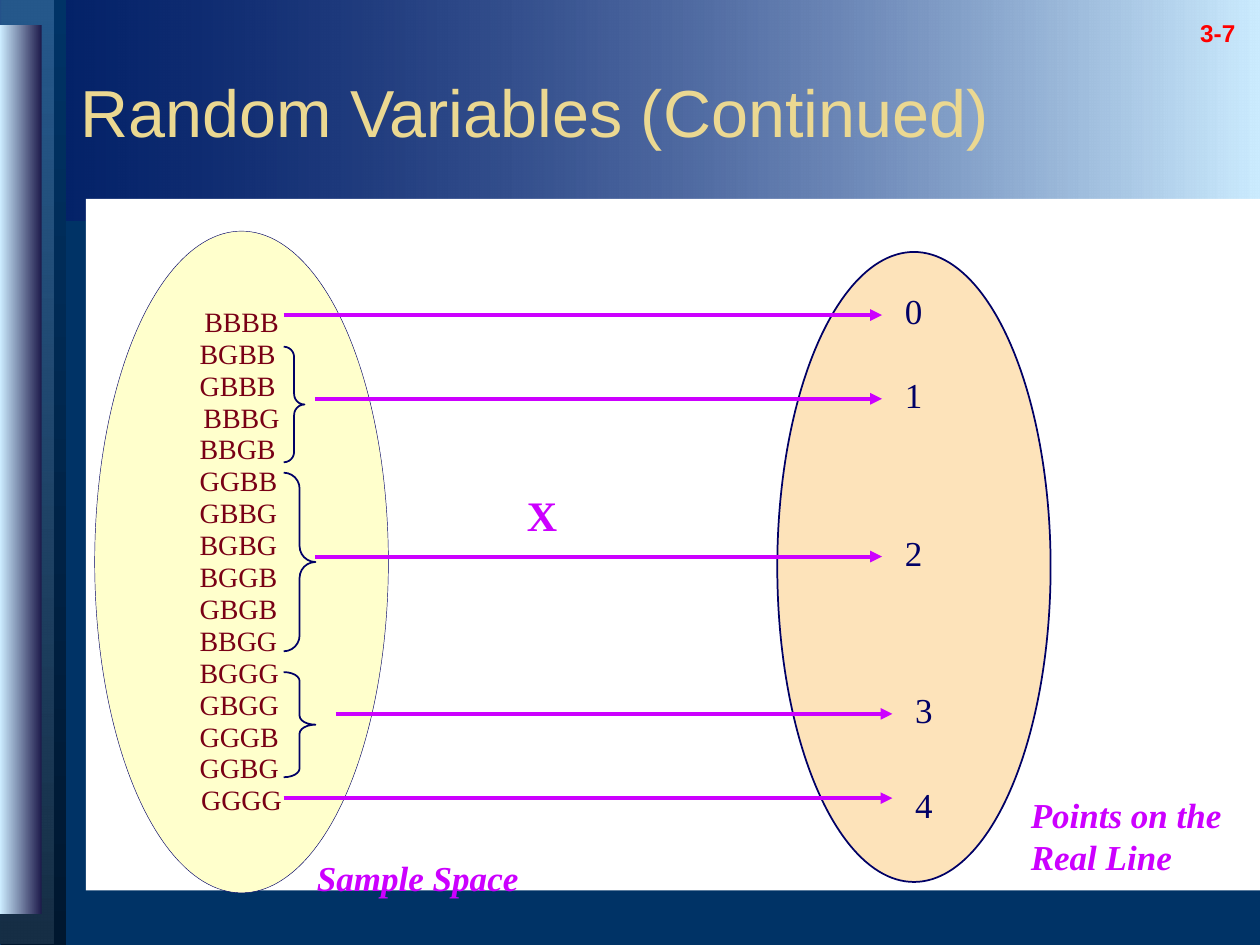
from lxml.etree import SubElement
from pptx import Presentation
from pptx.dml.color import RGBColor
from pptx.enum.shapes import MSO_CONNECTOR as Connector, MSO_SHAPE as Shape
from pptx.enum.text import MSO_ANCHOR as Anchor, PP_ALIGN as Align
from pptx.oxml.ns import qn
from pptx.util import Cm, Pt

SERIF = "Times New Roman"
NAVY = "000066"
VIOLET = "CC00FF"


def color(hex_value):
    return RGBColor.from_string(hex_value)


def label(text, left, top, width, height, size, hex_value, face=SERIF, bold=False, italic=False):
    box = slide.shapes.add_textbox(Cm(left), Cm(top), Cm(width), Cm(height))
    box.text_frame.word_wrap = True
    box.text_frame.text = text
    font = box.text_frame.paragraphs[0].runs[0].font
    font.name, font.size, font.bold, font.italic = face, Pt(size), bold, italic
    font.color.rgb = color(hex_value)
    return box.text_frame


prs = Presentation()
prs.slide_width, prs.slide_height = Cm(25.4), Cm(19.05)
slide = prs.slides.add_slide(prs.slide_layouts[6])
slide.background.fill.solid()
slide.background.fill.fore_color.rgb = color("003366")

bands = [
    (0, 0, 25.4, 4.45, 180, ("CCECFF", 100), (NAVY, 38)),
    (0.03, 0, 1.3, 19.05, 270, ("003366", 100), ("00172F", 100)),
    (-0.05, -0.03, 1.12, 19.05, 270, ("336699", 73), ("172F46", 100)),
    (0, 0.51, 0.84, 17.91, 180, ("1E1B4B", 100), ("CCECFF", 100)),
]
for left, top, width, height, angle, *stops in bands:
    band = slide.shapes.add_shape(Shape.RECTANGLE, Cm(left), Cm(top), Cm(width), Cm(height))
    band.shadow.inherit = False
    band.line.fill.background()
    band.fill.gradient()
    band.fill.gradient_angle = angle
    for stop, (hex_value, _) in zip(band.fill.gradient_stops, stops):
        stop.color.rgb = color(hex_value)
    for node, (_, opacity) in zip(band._element.spPr.iter(qn("a:srgbClr")), stops):
        if opacity < 100:
            SubElement(node, qn("a:alpha"), val=str(opacity * 1000))

panel = slide.shapes.add_shape(Shape.RECTANGLE, Cm(1.73), Cm(4.01), Cm(23.67), Cm(13.94))
panel.shadow.inherit = False
panel.fill.solid()
panel.fill.fore_color.rgb = color("FFFFFF")
panel.line.fill.background()

page_number = label("3-7", 23.6, -0.33, 1.9, 1.42, 24, "FF0000", "Arial", bold=True)
page_number.paragraphs[0].alignment = Align.CENTER
page_number.paragraphs[0].runs[0].font._element.set("baseline", "-25000")

title = label("Random Variables (Continued)", 1.37, 0.64, 23.55, 3.18, 38, "EBD891", "Arial")
title.vertical_anchor = Anchor.MIDDLE

ovals = []
for left, top, width, height, fill, weight in [
    (1.91, 4.66, 5.92, 13.34, "FFFFCC", 0.25),
    (15.67, 5.08, 5.51, 12.7, "FDE3BA", 1),
]:
    oval = slide.shapes.add_shape(Shape.OVAL, Cm(left), Cm(top), Cm(width), Cm(height))
    oval.shadow.inherit = False
    oval.fill.solid()
    oval.fill.fore_color.rgb = color(fill)
    oval.line.color.rgb = color(NAVY)
    oval.line.width = Pt(weight)
    ovals.append(oval)

outcomes = (
    "BBBB BGBB GBBB BBBG BBGB GGBB GBBG BGBG "
    "BGGB GBGB BBGG BGGG GBGG GGGB GGBG GGGG"
).split()
sample_space = ovals[0].text_frame
sample_space.word_wrap = True
sample_space.vertical_anchor = Anchor.MIDDLE
sample_space.text = "\n".join(outcomes)
for paragraph in sample_space.paragraphs:
    if paragraph.text in ("BBBB", "BBBG", "GGGG"):
        paragraph.alignment = Align.CENTER
    else:
        paragraph.alignment = Align.LEFT
        paragraph._p.get_or_add_pPr().set("marL", str(Cm(1)))
    paragraph.line_spacing = 0.95
    font = paragraph.runs[0].font
    font.name, font.size = SERIF, Pt(16)
    font.color.rgb = color("790015")

for top, width, height, curve in [
    (6.99, 0.42, 2.33, 0.5),
    (9.53, 0.64, 3.6, 0.5),
    (13.55, 0.64, 2.12, 0.28),
]:
    brace = slide.shapes.add_shape(Shape.RIGHT_BRACE, Cm(5.72), Cm(top), Cm(width), Cm(height))
    brace.shadow.inherit = False
    brace.adjustments[0] = curve
    brace.fill.background()
    brace.line.color.rgb = color(NAVY)
    brace.line.width = Pt(1)

mappings = [
    (5.72, 17.78, 6.35, 5.72),
    (6.35, 17.78, 8.04, 7.41),
    (6.35, 17.78, 11.22, 10.58),
    (6.77, 17.99, 14.39, 13.76),
    (5.72, 17.99, 16.09, 15.66),
]
for value, (start, end, y, value_top) in enumerate(mappings):
    arrow = slide.shapes.add_connector(Connector.STRAIGHT, Cm(start), Cm(y), Cm(end), Cm(y))
    arrow.line.color.rgb = color(VIOLET)
    arrow.line.width = Pt(2.25)
    SubElement(arrow.line._get_or_add_ln(), qn("a:tailEnd"), type="triangle")
    SubElement(arrow._element.spPr, qn("a:effectLst"))
    label(str(value), end + 0.21, value_top, 1.27, 1.12, 20, NAVY)

label("X", 10.37, 9.74, 1.9, 1.27, 24, VIOLET, bold=True)
label("Sample Space", 6.14, 17.15, 4.66, 1.12, 20, VIOLET, bold=True, italic=True)
label("Points on the Real Line", 20.53, 15.88, 4.87, 1.96, 20, VIOLET, bold=True, italic=True)

prs.save("out.pptx")
